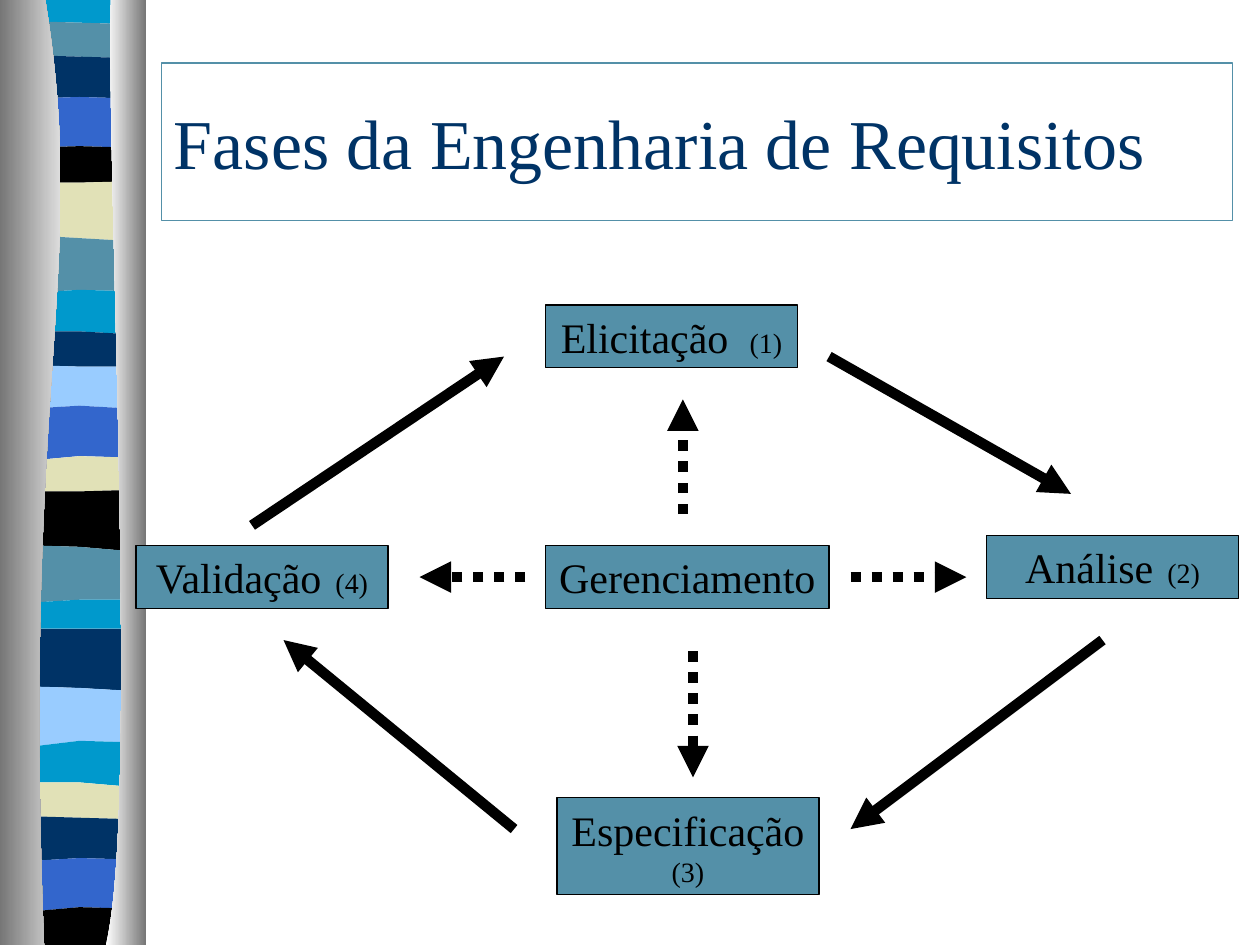
"""Build the slide on the phases of requirements engineering."""
from lxml import etree
from pptx import Presentation
from pptx.dml.color import RGBColor
from pptx.enum.dml import MSO_LINE
from pptx.enum.shapes import MSO_CONNECTOR, MSO_SHAPE
from pptx.enum.text import MSO_ANCHOR, PP_ALIGN
from pptx.oxml.ns import qn
from pptx.util import Inches, Pt

STRAIGHT = MSO_CONNECTOR.STRAIGHT
RECTANGLE = MSO_SHAPE.RECTANGLE
MIDDLE = MSO_ANCHOR.MIDDLE
LEFT, CENTER = PP_ALIGN.LEFT, PP_ALIGN.CENTER
DOTTED = MSO_LINE.ROUND_DOT

WIDTH, HEIGHT = 10, 7.5
FONT = "Times New Roman"
BLACK, NAVY, TEAL, CYAN = "000000", "003366", "5490A8", "0099CC"
BLUE, SKY, SAND = "3366CC", "99CCFF", "E1E1B7"
GREY, PALE, WHITE = "767676", "DDDDDD", "FFFFFF"

TITLE = "Fases da Engenharia de Requisitos"
TITLE_BOX = (1.28, 0.5, 8.5, 1.25)

PHASES = [
    ((4.33, 2.42, 2, 0.5), [("Elicitação  ", 24), ("(1)", 16)]),
    ((4.42, 6.33, 2.08, 0.77), [("Especificação", 24), (" (3)", 16)]),
    ((4.33, 4.33, 2.25, 0.5), [("Gerenciamento", 24)]),
    ((1.08, 4.33, 2, 0.5), [("Validação", 24), ("  (4)", 16)]),
    ((7.83, 4.25, 2, 0.5), [("Análise", 24), ("  (2)", 16)]),
]
CYCLE_ARROWS = [
    (6.58, 2.83, 8.5, 3.92),
    (8.75, 5.08, 6.75, 6.58),
    (4.08, 6.58, 2.25, 5.08),
    (2, 4.17, 4, 2.83),
]
MANAGEMENT_ARROWS = [
    (5.42, 4.08, 5.42, 3.17),
    (5.5, 5.17, 5.5, 6.17),
    (6.75, 4.58, 7.67, 4.58),
    (4.17, 4.58, 3.33, 4.58),
]

BAND_X = (0.3, 0.63, 0.98)
BANDS = [
    (CYAN, (0, 0, 0)),
    (TEAL, (0.17, 0.18, 0.19)),
    (NAVY, (0.44, 0.45, 0.46)),
    (BLUE, (0.78, 0.77, 0.78)),
    (BLACK, (1.17, 1.16, 1.17)),
    (SAND, (1.45, 1.45, 1.44)),
    (TEAL, (1.87, 1.89, 1.91)),
    (CYAN, (2.32, 2.3, 2.31)),
    (NAVY, (2.63, 2.63, 2.65)),
    (SKY, (2.9, 2.91, 2.91)),
    (BLUE, (3.24, 3.22, 3.24)),
    (SAND, (3.65, 3.62, 3.63)),
    (BLACK, (3.9, 3.9, 3.89)),
    (TEAL, (4.33, 4.34, 4.37)),
    (CYAN, (4.78, 4.76, 4.76)),
    (NAVY, (4.99, 4.99, 4.99)),
    (SKY, (5.45, 5.46, 5.48)),
    (CYAN, (5.92, 5.88, 5.89)),
    (SAND, (6.21, 6.21, 6.24)),
    (NAVY, (6.48, 6.49, 6.5)),
    (BLUE, (6.83, 6.81, 6.82)),
    (BLACK, (7.23, 7.2, 7.21)),
]
COLUMNS = [
    (0, [(0.36, 0), (0.71, 2.16), (0.17, 2.96), (0.35, 7.5)], (GREY, PALE)),
    (1.16, [(0.88, 0), (0.84, 1.25), (1.11, 6.46), (0.84, 7.5)], (WHITE, GREY)),
]


def color(value):
    """Turn a hex string into a colour."""
    return RGBColor.from_string(value)


def style(shape, fill=None, line=None):
    """Set the fill and the thin outline of a shape."""
    shape.shadow.inherit = False
    if fill:
        shape.fill.solid()
        shape.fill.fore_color.rgb = color(fill)
    else:
        shape.fill.background()
    if line:
        shape.line.color.rgb = color(line)
        shape.line.width = Pt(0.75)
    else:
        shape.line.fill.background()


def write(shape, runs, ink=BLACK, align=CENTER):
    """Write runs of text and size into a shape."""
    frame = shape.text_frame
    frame.word_wrap = True
    frame.vertical_anchor = MIDDLE
    frame.margin_left = frame.margin_right = Inches(0.1)
    frame.margin_top = frame.margin_bottom = Inches(0.05)
    paragraph = frame.paragraphs[0]
    paragraph.alignment = align
    for text, size in runs:
        run = paragraph.add_run()
        run.text = text
        run.font.name = FONT
        run.font.size = Pt(size)
        run.font.color.rgb = color(ink)


def add_outline(slide, points, fill=None):
    """Add a closed outline through points in inches."""
    start, *others = [(Inches(x), Inches(y)) for x, y in points]
    builder = slide.shapes.build_freeform(*start)
    builder.add_line_segments(others, close=True)
    shape = builder.convert_to_shape()
    style(shape, fill)
    return shape


def curve(controls, steps=40):
    """Return points along a cubic curve."""
    points = []
    for step in range(steps + 1):
        t = step / steps
        weights = ((1 - t) ** 3, 3 * t * (1 - t) ** 2, 3 * t * t * (1 - t), t ** 3)
        points.append(tuple(sum(w * c[axis] for w, c in zip(weights, controls))
                            for axis in (0, 1)))
    return points


def add_ribbon(slide):
    """Add the striped ribbon between two shaded columns."""
    tops = [top for _, top in BANDS] + [(HEIGHT,) * 3]
    for (fill, top), bottom in zip(BANDS, tops[1:]):
        edge = list(zip(BAND_X, top)) + list(zip(BAND_X, bottom))[::-1]
        add_outline(slide, edge, fill)
    for side, controls, shades in COLUMNS:
        column = add_outline(slide, curve(controls) + [(side, HEIGHT), (side, 0)])
        column.fill.gradient()
        column.fill.gradient_angle = 0
        for stop, shade in zip(column.fill.gradient_stops, shades):
            stop.color.rgb = color(shade)


def add_arrow(slide, ends, dash=None):
    """Add a thick arrow between two points."""
    arrow = slide.shapes.add_connector(STRAIGHT, *map(Inches, ends))
    arrow.line.color.rgb = color(BLACK)
    arrow.line.width = Pt(6)
    if dash:
        arrow.line.dash_style = dash
    etree.SubElement(arrow.line._get_or_add_ln(), qn("a:tailEnd"), type="triangle")
    etree.SubElement(arrow._element.spPr, qn("a:effectLst"))


def main():
    """Build and save the slide."""
    presentation = Presentation()
    presentation.slide_width, presentation.slide_height = Inches(WIDTH), Inches(HEIGHT)
    slide = presentation.slides.add_slide(presentation.slide_layouts[5])
    add_ribbon(slide)

    title = slide.shapes.title
    title.left, title.top, title.width, title.height = map(Inches, TITLE_BOX)
    title.line.color.rgb = color(TEAL)
    title.line.width = Pt(0.75)
    write(title, [(TITLE, 40)], ink=NAVY, align=LEFT)

    for box, runs in PHASES:
        phase = slide.shapes.add_shape(RECTANGLE, *map(Inches, box))
        style(phase, TEAL, BLACK)
        write(phase, runs)
    for ends in CYCLE_ARROWS:
        add_arrow(slide, ends)
    for ends in MANAGEMENT_ARROWS:
        add_arrow(slide, ends, DOTTED)
    presentation.save("out.pptx")


if __name__ == "__main__":
    main()
